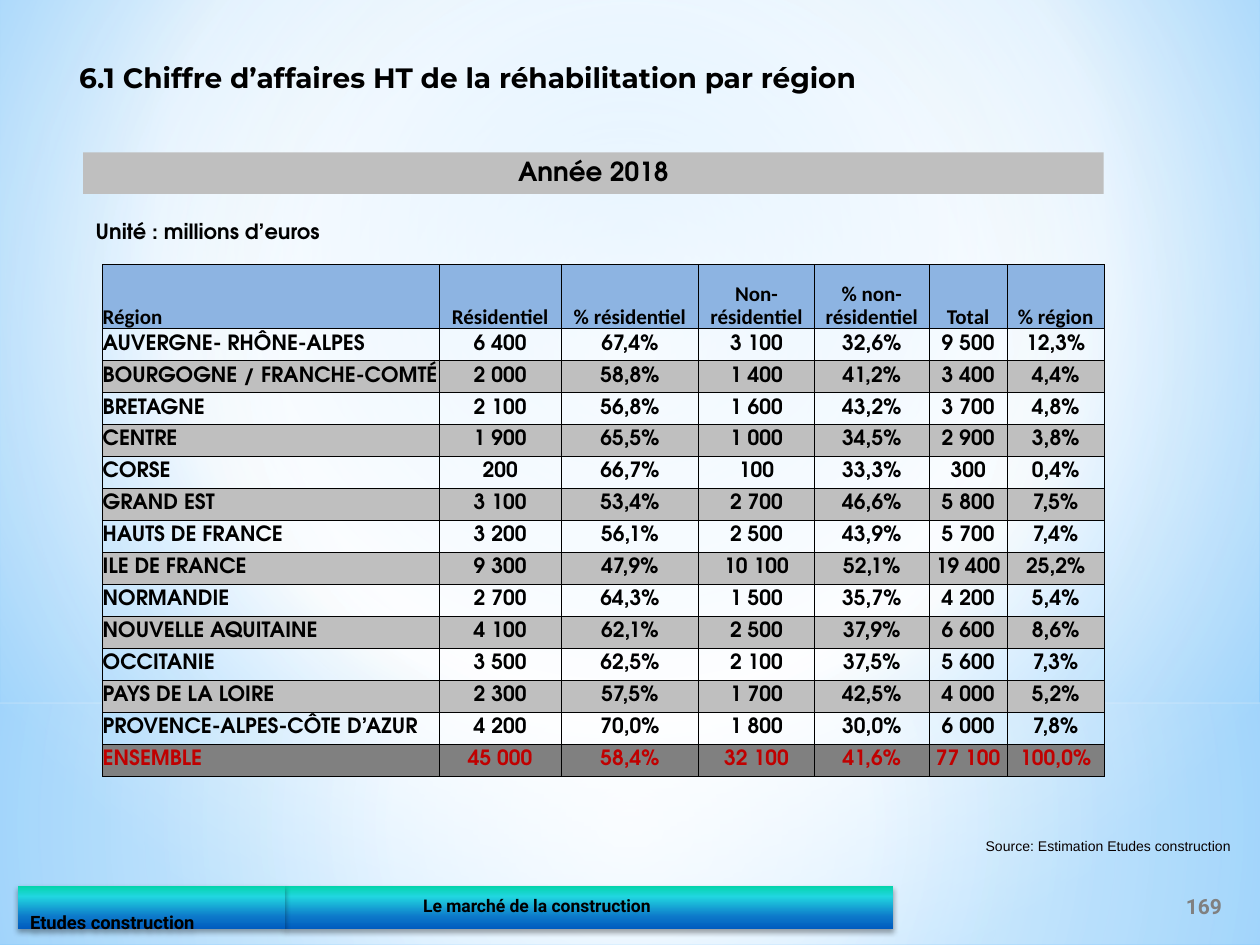
from lxml.etree import SubElement
from pptx import Presentation
from pptx.dml.color import RGBColor
from pptx.enum.shapes import MSO_SHAPE
from pptx.enum.text import MSO_ANCHOR, PP_ALIGN
from pptx.oxml import parse_xml
from pptx.oxml.ns import nsdecls, qn
from pptx.util import Inches, Pt

COLORS = {
    "black": "000000", "source": "080000", "number": "808080",
    "header": "8DB4E2", "band": "BFBFBF", "total": "808080", "red": "C00000",
}
BACKGROUND = [(0, "9ED5FF", 100), (60, "FFFFFF", 100), (100, "5BB9FF", 100)]
LOWER_GLOW = [(0, "FFFFFF", 91), (37, "FFFFFF", 76), (100, "B4DCFA", 79)]
UPPER_GLOW = [(0, "FFFFFF", 89), (48, "FFFFFF", 62), (100, "B4DCFA", 79)]
FOOTER_BAR = [(0, "03D4A8", 100), (25, "21D6E0", 100),
              (72, "0D79CA", 100), (100, "005CBF", 100)]
CIRCLE = ('<a:path path="circle"><a:fillToRect l="{}000" t="{}000" '
          'r="{}000" b="{}000"/></a:path>')
CENTERED = CIRCLE.format(50, 50, 50, 50)
DOWNWARD = '<a:lin ang="5400000" scaled="0"/>'
BODY_FONT = "TeX Gyre Adventor"

HEADERS = ["Région", "Résidentiel", "% résidentiel", "Non-résidentiel",
           "% non- résidentiel", "Total", "% région"]
REGIONS = [
    ["AUVERGNE- RHÔNE-ALPES", "6 400", "67,4%", "3 100", "32,6%", "9 500", "12,3%"],
    ["BOURGOGNE / FRANCHE-COMTÉ", "2 000", "58,8%", "1 400", "41,2%", "3 400", "4,4%"],
    ["BRETAGNE", "2 100", "56,8%", "1 600", "43,2%", "3 700", "4,8%"],
    ["CENTRE", "1 900", "65,5%", "1 000", "34,5%", "2 900", "3,8%"],
    ["CORSE", "200", "66,7%", "100", "33,3%", "300", "0,4%"],
    ["GRAND EST", "3 100", "53,4%", "2 700", "46,6%", "5 800", "7,5%"],
    ["HAUTS DE FRANCE", "3 200", "56,1%", "2 500", "43,9%", "5 700", "7,4%"],
    ["ILE DE FRANCE", "9 300", "47,9%", "10 100", "52,1%", "19 400", "25,2%"],
    ["NORMANDIE", "2 700", "64,3%", "1 500", "35,7%", "4 200", "5,4%"],
    ["NOUVELLE AQUITAINE", "4 100", "62,1%", "2 500", "37,9%", "6 600", "8,6%"],
    ["OCCITANIE", "3 500", "62,5%", "2 100", "37,5%", "5 600", "7,3%"],
    ["PAYS DE LA LOIRE", "2 300", "57,5%", "1 700", "42,5%", "4 000", "5,2%"],
    ["PROVENCE-ALPES-CÔTE D’AZUR", "4 200", "70,0%", "1 800", "30,0%", "6 000", "7,8%"],
    ["ENSEMBLE", "45 000", "58,4%", "32 100", "41,6%", "77 100", "100,0%"],
]


def write(tf, text, font=BODY_FONT, size=12, color="black", bold=True,
          align=PP_ALIGN.LEFT, spacing=0.9, indent=0):
    p = tf.paragraphs[0]
    p.alignment, p.line_spacing = align, spacing
    if indent:
        p._p.get_or_add_pPr().set("marL", str(Inches(indent)))
    r = p.add_run()
    r.text = text
    r.font.name, r.font.size, r.font.bold = font, Pt(size), bold
    r.font.color.rgb = RGBColor.from_string(COLORS[color])


def gradient(stops, direction):
    marks = "".join(
        f'<a:gs pos="{pos}000"><a:srgbClr val="{color}">'
        f'<a:alpha val="{alpha}000"/></a:srgbClr></a:gs>'
        for pos, color, alpha in stops)
    return parse_xml(f'<a:gradFill {nsdecls("a")} rotWithShape="1">'
                     f'<a:gsLst>{marks}</a:gsLst>{direction}</a:gradFill>')


class SlideBuilder:
    """Places elements on a grid of 100 columns by 75 rows."""

    def __init__(self, prs):
        self.s = prs.slides.add_slide(prs.slide_layouts[6])
        self.col, self.row = prs.slide_width / 100, prs.slide_height / 75

    def place(self, x, y, w, h):
        return [int(n * unit) for n, unit in
                zip((x, y, w, h), (self.col, self.row) * 2)]

    def background(self, stops, direction):
        bg = parse_xml(f'<p:bg {nsdecls("p", "a")}><p:bgPr><a:effectLst/></p:bgPr></p:bg>')
        bg[0].insert(0, gradient(stops, direction))
        self.s._element.cSld.insert(0, bg)

    def rect(self, *box, fill=None, stops=None, direction=CENTERED):
        sp = self.s.shapes.add_shape(MSO_SHAPE.RECTANGLE, *self.place(*box))
        sp.shadow.inherit = False
        sp.line.fill.background()
        if stops:
            sp._element.spPr.insert(2, gradient(stops, direction))
        else:
            sp.fill.solid()
            sp.fill.fore_color.rgb = RGBColor.from_string(COLORS[fill])
        sp.text_frame.word_wrap = True
        return sp

    def footer_bar(self, *box):
        sp = self.rect(*box, stops=FOOTER_BAR, direction=DOWNWARD)
        effects = sp._element.spPr.find(qn("a:effectLst"))
        effects.append(parse_xml(
            f'<a:outerShdw {nsdecls("a")} blurRad="{Pt(3.1)}" dist="{Pt(1.8)}" '
            'dir="5400000" rotWithShape="0"><a:srgbClr val="000000">'
            '<a:alpha val="35000"/></a:srgbClr></a:outerShdw>'))
        return sp.text_frame

    def text(self, *box, text, anchor=MSO_ANCHOR.TOP, wrap=True, **style):
        tf = self.s.shapes.add_textbox(*self.place(*box)).text_frame
        tf.word_wrap, tf.vertical_anchor = wrap, anchor
        write(tf, text, **style)

    def cell(self, cell, text, fill, anchor, **style):
        cell.margin_left = cell.margin_right = cell.margin_top = cell.margin_bottom = 0
        cell.vertical_anchor = anchor
        write(cell.text_frame, text, **style)
        tcPr = cell._tc.get_or_add_tcPr()
        for side in ("lnL", "lnR", "lnT", "lnB"):
            ln = SubElement(tcPr, qn(f"a:{side}"), w=str(Pt(0.5)))
            color = SubElement(SubElement(ln, qn("a:solidFill")), qn("a:srgbClr"))
            color.set("val", COLORS["black"])
        if fill:
            cell.fill.solid()
            cell.fill.fore_color.rgb = RGBColor.from_string(COLORS[fill])
        else:
            cell.fill.background()

    def table(self, x, y, widths, head_height, row_height, rows):
        height = head_height + row_height * (len(rows) - 1)
        table = self.s.shapes.add_table(
            len(rows), len(widths), *self.place(x, y, sum(widths), height)).table
        table.first_row = table.horz_banding = False
        for column, width in zip(table.columns, widths):
            column.width = int(width * self.col)
        for i, values in enumerate(rows):
            table.rows[i].height = int((row_height if i else head_height) * self.row)
            # Header, striped regions, then the total
            fill, anchor = (None if i % 2 else "band"), MSO_ANCHOR.MIDDLE
            style = {}
            if i == 0:
                fill, anchor, style = "header", MSO_ANCHOR.BOTTOM, {"font": "Calibri"}
            elif i == len(rows) - 1:
                fill, style = "total", {"color": "red"}
            for j, value in enumerate(values):
                align = PP_ALIGN.CENTER if j else PP_ALIGN.LEFT
                self.cell(table.cell(i, j), value, fill, anchor, align=align, **style)


def main():
    prs = Presentation()
    prs.slide_width, prs.slide_height = Inches(10), Inches(7.5)
    b = SlideBuilder(prs)

    # Backdrop
    b.background(BACKGROUND, CIRCLE.format(20, 10, 20, 60))
    b.rect(0, 55.8, 100, 19.2, stops=LOWER_GLOW)
    b.rect(0, 0, 100, 55.8, stops=UPPER_GLOW)

    # Footer
    tf = b.footer_bar(22.6, 70.3, 48.3, 3.4)
    write(tf, "Le marché de la construction", font="Roboto", size=10, indent=1)
    tf = b.footer_bar(1.4, 70.3, 21.2, 3.4)
    tf.vertical_anchor = MSO_ANCHOR.TOP
    tf.margin_top, tf.margin_bottom = Inches(0.22), 0
    write(tf, "Etudes construction", font="Roboto", size=10.5)
    b.text(92.6, 69.9, 5.9, 4, text="169", anchor=MSO_ANCHOR.MIDDLE, font="Roboto",
           color="number", align=PP_ALIGN.CENTER, spacing=1)

    # Headings
    sp = b.rect(6.6, 12.1, 81, 3.3, fill="band")
    sp.text_frame.vertical_anchor = MSO_ANCHOR.TOP
    write(sp.text_frame, "Année 2018", size=15, align=PP_ALIGN.CENTER)
    b.text(76.6, 65.6, 22.1, 3.1, text="Source: Estimation Etudes construction",
           anchor=MSO_ANCHOR.MIDDLE, wrap=False, font="Arial", size=8,
           color="source", bold=False, align=PP_ALIGN.RIGHT, spacing=1)
    b.text(6.6, 17.1, 22.8, 2.8, text="Unité : millions d’euros")
    b.text(5.3, 4.3, 93.3, 4.4, font="Montserrat", size=16, spacing=1,
           text="6.1 Chiffre d’affaires HT de la réhabilitation par région")

    # Turnover by region
    b.table(8.15, 21, [26.7, 9.7, 10.9, 9.2, 9.1, 6.2, 7.7], 5.1,
            35.5 / len(REGIONS), [HEADERS] + REGIONS)
    prs.save("out.pptx")


if __name__ == "__main__":
    main()
